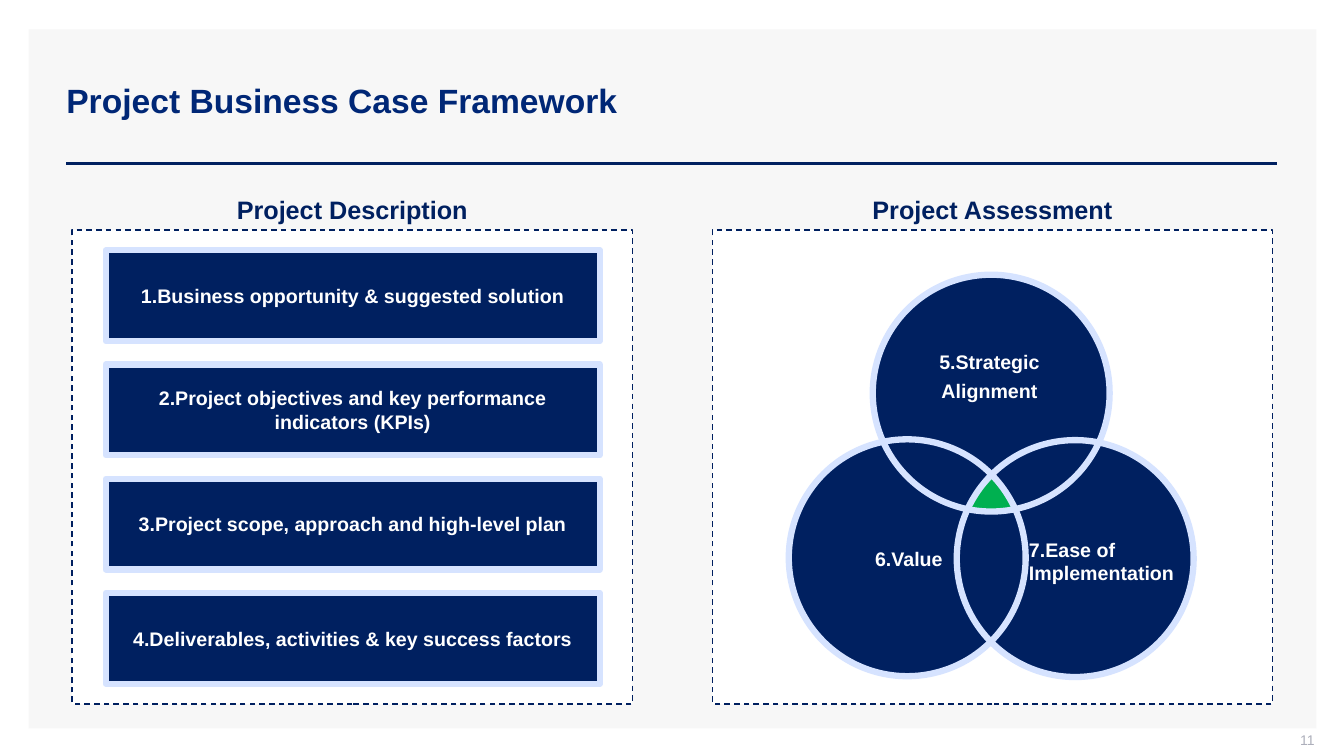
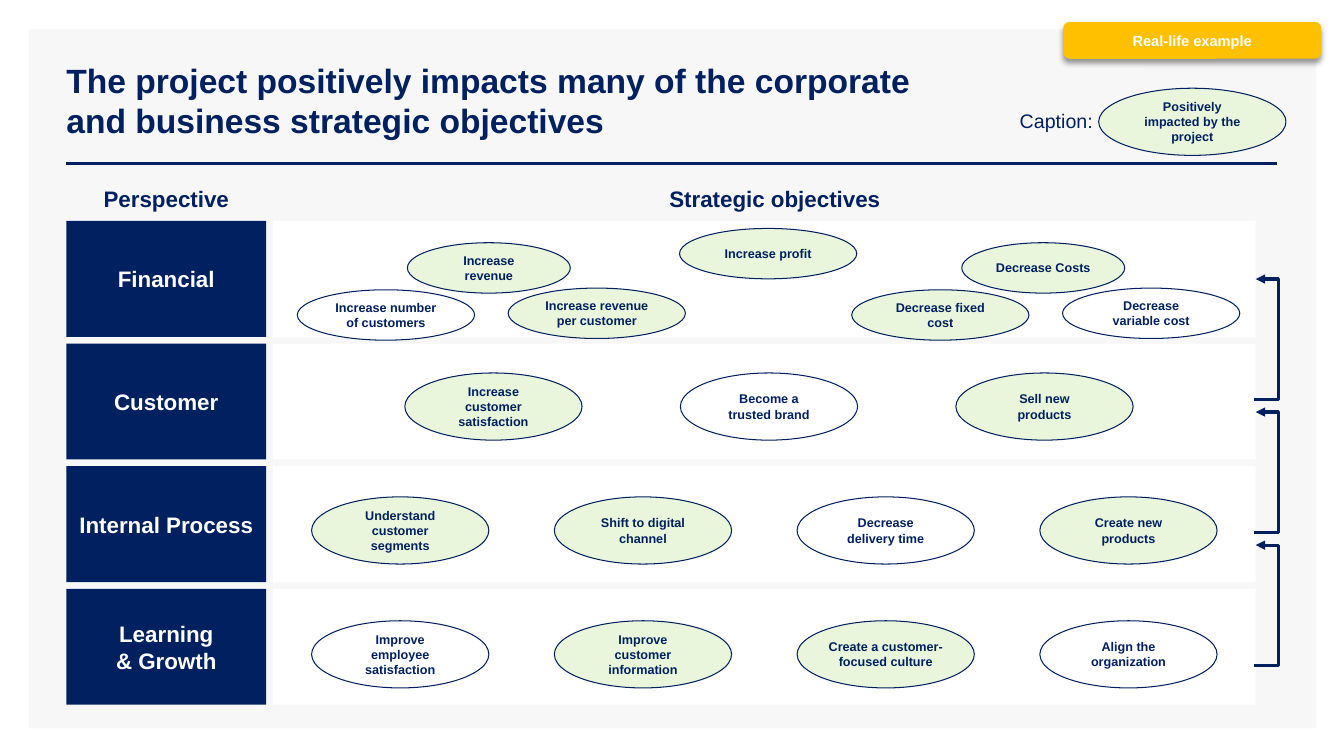
from lxml import etree
from pptx import Presentation
from pptx.dml.color import RGBColor
from pptx.enum.dml import MSO_LINE_DASH_STYLE as Dash
from pptx.enum.shapes import MSO_AUTO_SHAPE_TYPE as Preset, MSO_CONNECTOR as Connector
from pptx.enum.text import MSO_ANCHOR as Anchor, MSO_AUTO_SIZE as AutoSize, PP_ALIGN as Align
from pptx.oxml.ns import qn
from pptx.util import Pt

COLUMNS, ROWS = 160, 90
SLIDE_WIDTH, SLIDE_HEIGHT = 12192000, 6858000
CELL = SLIDE_WIDTH / COLUMNS

FONT = "Arial"
NAVY, TITLE_BLUE, PALE_BLUE = "002060", "002776", "D6E3FF"
WHITE, BAND_GREY, NUMBER_GREY = "FFFFFF", "F7F7F7", "ADAFBB"
GREEN, PALE_GREEN, AMBER = "00B050", "E9F6DC", "FFC000"

STEPS = [
    "1.Business opportunity & suggested solution",
    "2.Project objectives and key performance indicators (KPIs)",
    "3.Project scope, approach and high-level plan",
    "4.Deliverables, activities & key success factors",
]
PERSPECTIVES = ["Financial", "Customer", "Internal Process", "Learning\n& Growth"]
FINANCIAL_GOALS = [
    ("Increase revenue", 48.5, 28.9, 19.4, True),
    ("Increase profit", 80.9, 27.2, 21.1, True),
    ("Increase number of customers", 35.4, 34.5, 21.1, False),
    ("Increase revenue per customer", 60.5, 34.3, 21.1, True),
    ("Decrease Costs", 114.5, 28.9, 19.4, True),
    ("Decrease fixed cost", 101.4, 34.5, 21.1, True),
    ("Decrease variable cost", 126.5, 34.3, 21.1, False),
]
GOAL_ROWS = [
    (48.2, 32.8, [("Increase customer satisfaction", True),
                  ("Become a trusted brand", False),
                  ("Sell new products", True)]),
    (37.1, 28.9, [("Understand customer segments", True),
                  ("Shift to digital channel", True),
                  ("Decrease delivery time", False),
                  ("Create new products", True)]),
    (37.1, 28.9, [("Improve\nemployee satisfaction", False),
                  ("Improve customer information", True),
                  ("Create a customer-focused culture", True),
                  ("Align the organization", False)]),
]


def color(value):
    return RGBColor.from_string(value)


def cells(*counts):
    return [round(count * CELL) for count in counts]


def write(shape, text, size, ink, bold=True, align=Align.CENTER, margin=1.2, gap=0):
    frame = shape.text_frame
    frame.word_wrap = True
    frame.auto_size = AutoSize.NONE
    frame.vertical_anchor = Anchor.MIDDLE
    frame.margin_left, frame.margin_right = cells(margin, margin)
    frame.margin_top = frame.margin_bottom = 0
    frame.text = text
    for index, paragraph in enumerate(frame.paragraphs):
        paragraph.alignment = align
        if index and gap:
            paragraph.space_before = Pt(gap)
        font = paragraph.font
        font.name, font.size, font.bold = FONT, Pt(size), bold
        font.color.rgb = color(ink)


def paint(shape, fill=None, line=None, weight=1):
    shape.shadow.inherit = False
    if fill:
        shape.fill.solid()
        shape.fill.fore_color.rgb = color(fill)
    else:
        shape.fill.background()
    if line:
        shape.line.color.rgb = color(line)
        shape.line.width = Pt(weight)
    else:
        shape.line.fill.background()
    return shape


def add_preset(slide, preset, place, fill=None, line=None, weight=1):
    shape = slide.shapes.add_shape(preset, *cells(*place))
    return paint(shape, fill, line, weight)


def add_label(slide, place, text, size, ink=NAVY, **style):
    write(slide.shapes.add_textbox(*cells(*place)), text, size, ink, **style)


def add_line(slide, kind, start, end, weight):
    line = slide.shapes.add_connector(kind, *cells(*start, *end))
    line.line.color.rgb = color(NAVY)
    line.line.width = Pt(weight)
    etree.SubElement(line.element.spPr, qn("a:effectLst"))
    return line


def add_circle(slide, center, radius, **paints):
    x, y = center
    place = (x - radius, y - radius, 2 * radius, 2 * radius)
    add_preset(slide, Preset.OVAL, place, **paints)


def add_goal(slide, place, text, impacted, margin=1.2):
    fill = PALE_GREEN if impacted else WHITE
    oval = add_preset(slide, Preset.OVAL, place, fill, NAVY, 0.75)
    write(oval, text, 9, NAVY, margin=margin)


def add_feedback_arrow(slide, bottom):
    arrow = add_line(slide, Connector.ELBOW, (149.3, bottom), (149.5, bottom - 14.3), 2.25)
    guides = arrow.element.spPr.find(qn("a:prstGeom")).find(qn("a:avLst"))
    etree.SubElement(guides, qn("a:gd"), name="adj1", fmla="val 1460000")
    etree.SubElement(arrow.line._get_or_add_ln(), qn("a:tailEnd"), type="triangle")


def add_drop_shadow(shape):
    effects = shape.element.spPr.find(qn("a:effectLst"))
    shadow = etree.SubElement(effects, qn("a:outerShdw"), blurRad=str(Pt(4)),
                              dist=str(Pt(3)), dir="5400000", rotWithShape="0")
    ink = etree.SubElement(shadow, qn("a:srgbClr"), val="000000")
    etree.SubElement(ink, qn("a:alpha"), val="40000")


def add_slide(presentation, title, width, ink):
    slide = presentation.slides.add_slide(presentation.slide_layouts[5])
    holder = slide.shapes.title
    holder.left, holder.top, holder.width, holder.height = cells(6.7, 4.8, width, 14.3)
    write(holder, title, 24, ink, align=Align.LEFT)
    return slide


def move_frame_to_layout(slide):
    band = add_preset(slide, Preset.RECTANGLE, (3.4, 3.5, 153.3, 83.2), BAND_GREY)
    rule = add_line(slide, Connector.STRAIGHT, (7.9, 19.5), (152, 19.5), 2)
    tree = slide.slide_layout.shapes.element
    for holder in list(slide.slide_layout.placeholders)[1:]:
        tree.remove(holder.element)
    tree.insert(2, band.element)
    tree.insert(3, rule.element)


def add_panel(slide, left, heading):
    panel = add_preset(slide, Preset.RECTANGLE, (left, 27.4, 66.7, 56.4), WHITE, NAVY)
    panel.line.dash_style = Dash.DASH
    add_label(slide, (left, 22.5, 66.7, 4.8), heading, 18)


def add_venn(slide):
    centers = [(118, 46.8), (108, 66.4), (128, 66.5)]
    for center in centers:
        add_circle(slide, center, 14.1, fill=NAVY)
    start, *corners = [cells(*point) for point in (
        (118, 56.6), (119.6, 58.5), (120.7, 60.6), (118, 60.9), (115.3, 60.6), (116.4, 58.5))]
    builder = slide.shapes.build_freeform(*start)
    builder.add_line_segments(corners)
    paint(builder.convert_to_shape(), GREEN)
    for center in centers:
        add_circle(slide, center, 14.1, line=PALE_BLUE, weight=4.5)
    add_label(slide, (107.8, 41, 20, 7.6), "5.Strategic\nAlignment", 14, WHITE, margin=0, gap=4)
    add_label(slide, (98.2, 63, 20, 7), "6.Value", 14, WHITE, margin=0)
    add_label(slide, (122.5, 63.3, 19, 7), "7.Ease of Implementation", 14, WHITE,
              align=Align.LEFT, margin=0)


def fill_framework(slide):
    add_panel(slide, 8.6, "Project Description")
    add_panel(slide, 84.8, "Project Assessment")
    for index, step in enumerate(STEPS):
        place = (12.6, 29.8 + 13.6 * index, 58.8, 10.8)
        box = add_preset(slide, Preset.RECTANGLE, place, NAVY, PALE_BLUE, 4.5)
        write(box, step, 14, WHITE)
    add_venn(slide)
    add_label(slide, (120.5, 86.8, 36, 2.5), "11", 10, NUMBER_GREY,
              bold=False, align=Align.RIGHT, margin=0)


def fill_objectives(slide):
    add_label(slide, (7.9, 21.6, 23.8, 4.1), "Perspective", 16)
    add_label(slide, (32.5, 21.6, 119.5, 4.1), "Strategic objectives", 16)
    for index, perspective in enumerate(PERSPECTIVES):
        top = 26.3 + 14.6 * index
        add_preset(slide, Preset.RECTANGLE, (32.5, top, 117, 13.8), WHITE)
        name_box = add_preset(slide, Preset.RECTANGLE, (7.9, top, 23.8, 13.8), NAVY)
        write(name_box, perspective, 16, WHITE, margin=0.5)
    for index in range(3):
        add_feedback_arrow(slide, 79.2 - 15.84 * index)
    for text, left, top, width, impacted in FINANCIAL_GOALS:
        add_goal(slide, (left, top, width, 6), text, impacted)
    for row, (left, pitch, goals) in enumerate(GOAL_ROWS):
        for column, (text, impacted) in enumerate(goals):
            place = (left + pitch * column, 44.4 + 14.75 * row, 21.1, 8)
            margin = 0 if "-" in text else 1.2
            add_goal(slide, place, text, impacted, margin)
    badge = add_preset(slide, Preset.ROUNDED_RECTANGLE, (126.6, 2.6, 30.7, 4.4), AMBER)
    add_drop_shadow(badge)
    write(badge, "Real-life example", 10.5, WHITE)
    add_goal(slide, (130.8, 10.5, 22.3, 8), "Positively impacted by the project", True)
    add_label(slide, (121.4, 12.4, 9.3, 4), "Caption:", 14,
              bold=False, align=Align.LEFT, margin=0)


def main():
    presentation = Presentation()
    presentation.slide_width, presentation.slide_height = SLIDE_WIDTH, SLIDE_HEIGHT
    framework = add_slide(presentation, "Project Business Case Framework", 137.4, TITLE_BLUE)
    move_frame_to_layout(framework)
    fill_framework(framework)
    objectives = add_slide(
        presentation,
        "The project positively impacts many of the corporate and business strategic objectives",
        107.8, NAVY)
    fill_objectives(objectives)
    presentation.save("out.pptx")


if __name__ == "__main__":
    main()
